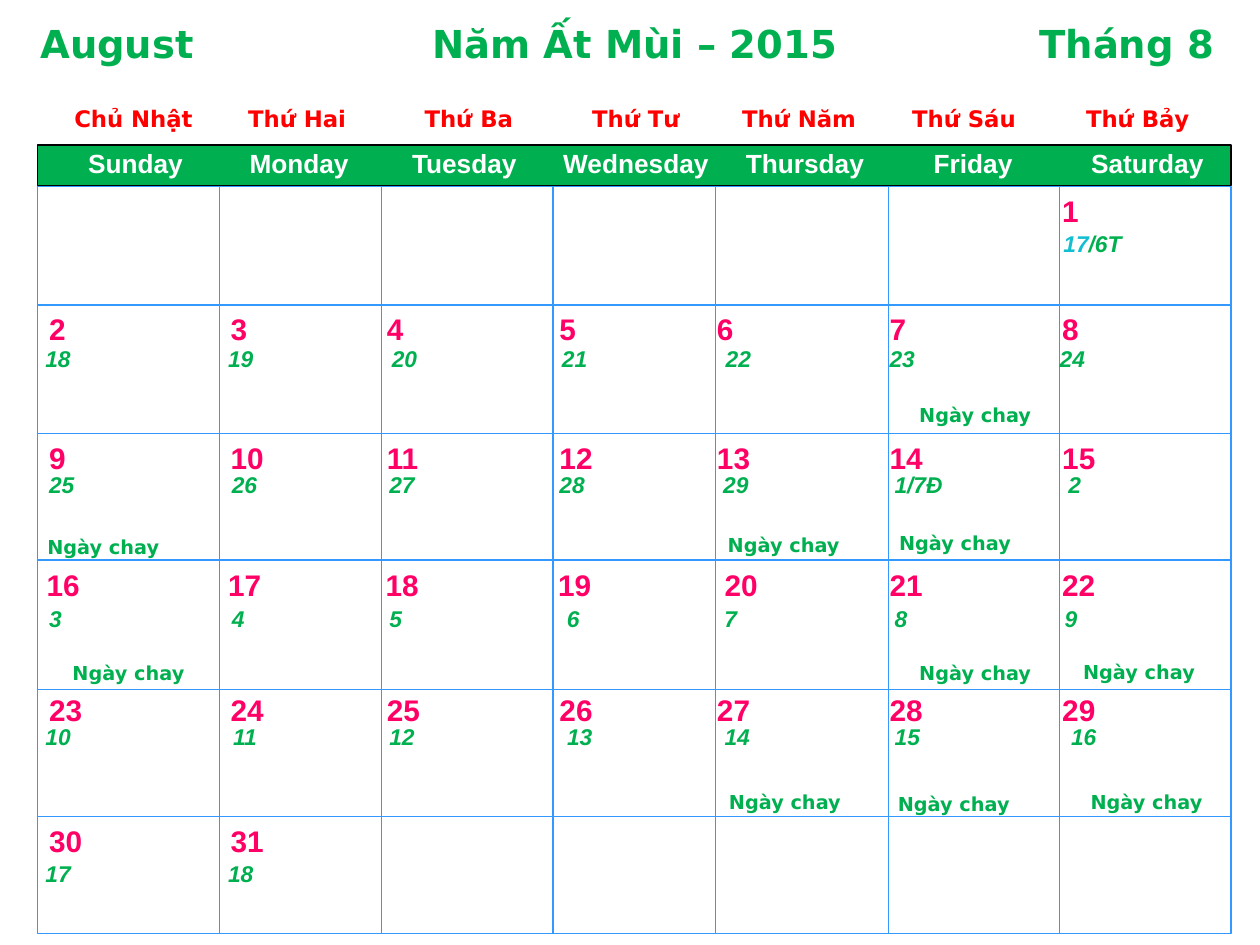
from lxml import etree
from pptx import Presentation
from pptx.dml.color import RGBColor
from pptx.enum import shapes, text
from pptx.oxml import ns
from pptx.util import Inches, Pt

GREEN = RGBColor(0x00, 0xB0, 0x50)
BLUE = RGBColor(0x33, 0x99, 0xFF)
PINK = RGBColor(0xFF, 0x00, 0x66)
RED = RGBColor(0xFF, 0x00, 0x00)
CYAN = RGBColor(0x12, 0xBE, 0xD0)
WHITE = RGBColor(0xFF, 0xFF, 0xFF)
BLACK = RGBColor(0x00, 0x00, 0x00)
SANS, WIDE = "Arial", "DejaVu Sans"
INSET = 0.09

GRID = (0.3, 1.48, 9.47, 5.93)
HEADER = (0.3, 1.15, 9.47, 0.32)
ROW_LINES = (2.42, 3.44, 4.45, 5.47, 6.48)
COLUMN_LINES = (1.74, 3.03, 4.39, 5.68, 7.05, 8.41)

WEEKDAYS = (("Sunday", 0.61, 0.94), ("Monday", 1.89, 0.98), ("Tuesday", 3.18, 1.02),
            ("Wednesday", 4.38, 1.35), ("Thursday", 5.83, 1.13),
            ("Friday", 7.32, 0.82), ("Saturday", 8.57, 1.09))
THU = ("Chủ Nhật", "Thứ Hai", "Thứ Ba", "Thứ Tư", "Thứ Năm", "Thứ Sáu", "Thứ Bảy")
THU_X = (0.59, 1.97, 3.37, 4.7, 5.89, 7.24, 8.62)

# Top of each week, first and last day, column positions
DATE_X = (0.39, 1.83, 3.07, 4.44, 5.69, 7.06, 8.43)
DATE_WEEKS = (
    (1.48, 1, 1, DATE_X[6:]),
    (2.42, 2, 8, DATE_X),
    (3.44, 9, 15, DATE_X),
    (4.45, 16, 22, (0.37, 1.81, 3.06, 4.43, 5.75, 7.06, 8.43)),
    (5.44, 23, 29, DATE_X),
    (6.48, 30, 31, DATE_X[:2]),
)
# Box of each week, lunar days, column positions
LUNAR_WEEKS = (
    ((0.27, 2.69, 9.23, 0.31), range(18, 25), (0.36, 1.81, 3.11, 4.46, 5.76, 7.06, 8.41)),
    ((0.3, 3.69, 8.87, 0.31), (25, 26, 27, 28, 29, "1/7Đ", 2),
     (0.39, 1.84, 3.09, 4.44, 5.74, 7.1, 8.48)),
    ((0.3, 4.75, 8.87, 0.31), range(3, 10), (0.39, 1.84, 3.09, 4.5, 5.75, 7.1, 8.45)),
    ((0.27, 5.69, 8.65, 0.31), range(10, 17), (0.36, 1.85, 3.09, 4.5, 5.75, 7.1, 8.5)),
    ((0.27, 6.77, 8.48, 0.31), (17, 18), (0.36, 1.81)),
)
FASTING_SPOTS = ((7.17, 3.15), (0.25, 4.2), (5.65, 4.18), (7.01, 4.17),
                 (0.45, 5.2), (7.17, 5.2), (8.47, 5.19),
                 (5.66, 6.22), (7, 6.24), (8.53, 6.22))


def write(slide, box, cells, sp=None, stops=(), size=13, font=SANS, color=GREEN,
          italic=False, align=text.PP_ALIGN.LEFT, wrap=True, tail=None):
    """Write cells in one line, each at its stop on the slide."""
    place = [Inches(v) for v in box]
    if sp is None:
        sp = slide.shapes.add_textbox(*place)
    sp.left, sp.top, sp.width, sp.height = place
    tf = sp.text_frame
    tf.word_wrap = wrap
    tf.auto_size = text.MSO_AUTO_SIZE.NONE
    tf.vertical_anchor = text.MSO_ANCHOR.TOP
    tf.margin_left = tf.margin_right = Inches(INSET)
    tf.margin_top = tf.margin_bottom = Inches(0.05)
    p = tf.paragraphs[0]
    p.alignment = align
    # Tab stops count from the left edge of the text
    offsets = [x - box[0] - INSET for x in stops]
    tabs = [x for x in offsets if x > 0.01]
    if tabs:
        tab_list = etree.SubElement(p._p.get_or_add_pPr(), ns.qn("a:tabLst"))
        for x in tabs:
            etree.SubElement(tab_list, ns.qn("a:tab"), pos=str(Inches(x)), algn="l")
    lead = "\t" if tabs and len(tabs) == len(stops) else ""
    runs = [(lead + "\t".join(str(c) for c in cells), color)]
    if tail:
        runs.append(tail)
    for words, run_color in runs:
        r = p.add_run()
        r.text = words
        r.font.name, r.font.size = font, Pt(size)
        r.font.bold, r.font.italic = True, italic
        r.font.color.rgb = run_color


def add_box(slide, box, line, fill=None):
    sp = slide.shapes.add_shape(shapes.MSO_SHAPE.RECTANGLE, *[Inches(v) for v in box])
    sp.shadow.inherit = False
    if fill is None:
        sp.fill.background()
    else:
        sp.fill.solid()
        sp.fill.fore_color.rgb = fill
    sp.line.color.rgb = line
    sp.line.width = Pt(0.75)
    return sp


def add_line(slide, x1, y1, x2, y2):
    line = slide.shapes.add_connector(shapes.MSO_CONNECTOR.STRAIGHT,
                                      Inches(x1), Inches(y1), Inches(x2), Inches(y2))
    line.line.color.rgb = BLUE
    line.line.width = Pt(0.75)
    etree.SubElement(line._element.spPr, ns.qn("a:effectLst"))
    return line


def add_grid(slide, box):
    left, top, width, height = box
    frame = add_box(slide, box, BLUE)
    for y in ROW_LINES:
        line = add_line(slide, left, y, left + width, y)
        # The middle row line meets the frame at its side midpoints
        if abs(y - top - height / 2) < 0.01:
            line.begin_connect(frame, 1)
            line.end_connect(frame, 3)
    for x in COLUMN_LINES:
        add_line(slide, x, top, x, top + height)


def add_header(slide, box):
    add_box(slide, box, BLACK, GREEN)
    for day, x, width in WEEKDAYS:
        write(slide, (x, box[1] - 0.03, width, 0.35), [day], size=15, color=WHITE, wrap=False)
    write(slide, (0, box[1] - 0.37, 9.77, 0.31), THU, stops=THU_X, font=WIDE, color=RED)


def add_days(slide, left):
    # Solar dates
    for top, first, last, stops in DATE_WEEKS:
        start = min(left, stops[0] - INSET)
        write(slide, (start, top, 9.39, 0.38), range(first, last + 1),
              stops=stops, size=17, color=PINK)
    # Lunar dates
    write(slide, (0.5, 1.77, 9, 0.31), [17], stops=[8.44], color=CYAN, italic=True,
          tail=("/6T", GREEN))
    for box, days, stops in LUNAR_WEEKS:
        write(slide, box, days, stops=stops, italic=True)
    # Fasting days
    for x, y in FASTING_SPOTS:
        write(slide, (x, y, 1.14, 0.28), ["Ngày chay"], size=11, font=WIDE,
              align=text.PP_ALIGN.CENTER)


def main():
    prs = Presentation()
    prs.slide_width, prs.slide_height = Inches(10), Inches(7.5)
    slide = prs.slides.add_slide(prs.slide_layouts[5])
    write(slide, (0.23, 0.11, 9.77, 0.46), ("August", "Năm Ất Mùi – 2015", "Tháng 8"),
          sp=slide.shapes.title, stops=(0.32, 3.43, 8.25), size=22, font=WIDE)
    add_grid(slide, GRID)
    add_header(slide, HEADER)
    add_days(slide, GRID[0])
    prs.save("out.pptx")


if __name__ == "__main__":
    main()
